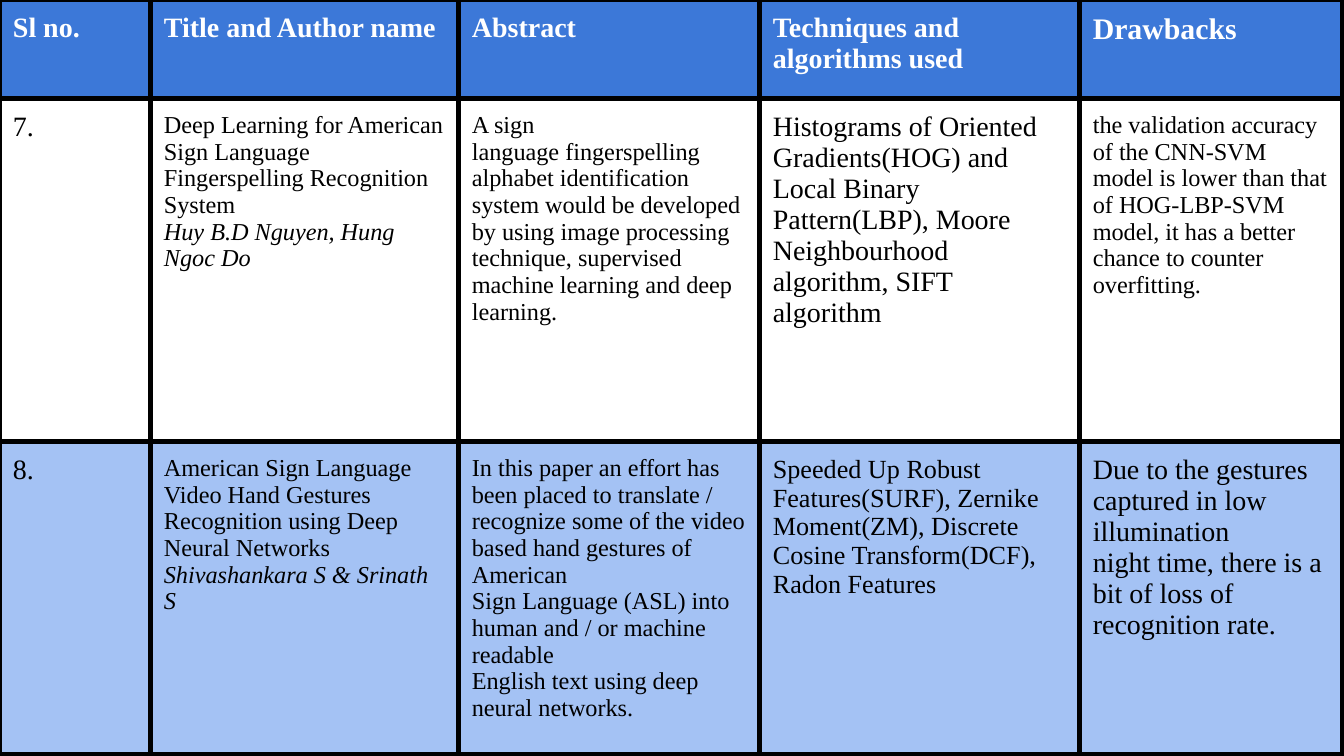
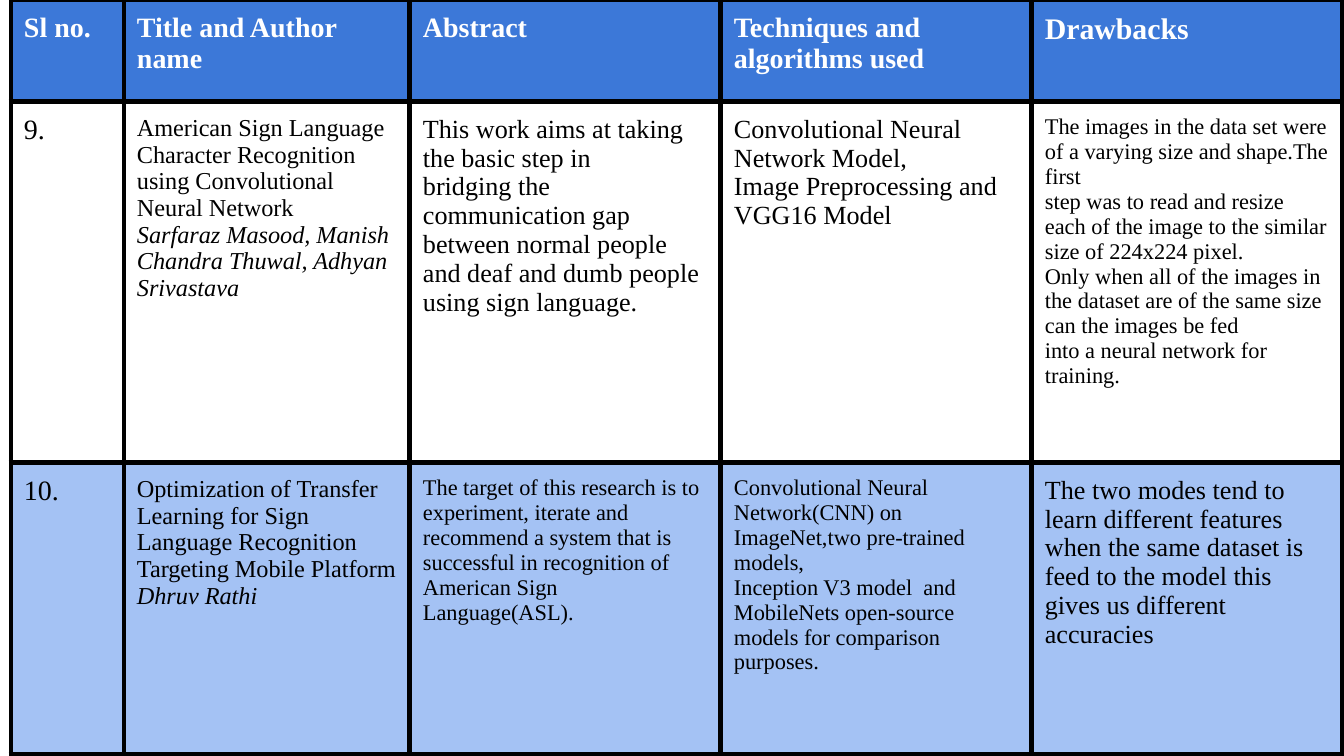
from dataclasses import dataclass

from lxml import etree
from pptx import Presentation
from pptx import util as u
from pptx.dml.color import RGBColor
from pptx.enum import text
from pptx.oxml import ns

EMU_PER_PX = 914400 / 134.4
PAGE_WIDTH, PAGE_HEIGHT = 1344, 756
FONT = "Times New Roman"
HEADER_BLUE = RGBColor(0x3C, 0x78, 0xD8)
ROW_BLUE = RGBColor(0xA4, 0xC2, 0xF4)
WHITE = RGBColor(0xFF, 0xFF, 0xFF)
BLACK = RGBColor(0x00, 0x00, 0x00)
BORDER_POINTS = 3
CELL_MARGIN = 13


@dataclass
class Entry:
    """Text of one table cell: its size, its lines and any italic authors."""
    size: int
    lines: list
    authors: str = ""


HEADINGS = [
    Entry(15, ["Sl no."]),
    Entry(15, ["Title and Author name"]),
    Entry(15, ["Abstract"]),
    Entry(15, ["Techniques and algorithms used"]),
    Entry(16, ["Drawbacks"]),
]

PAPERS_7_8 = [
    [
        Entry(15, ["7."]),
        Entry(13, ["Deep Learning for American Sign Language Fingerspelling "
                   "Recognition System"], "Huy B.D Nguyen, Hung Ngoc Do"),
        Entry(13, ["A sign",
                   "language fingerspelling alphabet identification system would be "
                   "developed by using image processing technique, supervised machine "
                   "learning and deep learning."]),
        Entry(15, ["Histograms of Oriented Gradients(HOG) and Local Binary "
                   "Pattern(LBP), Moore Neighbourhood algorithm, SIFT algorithm"]),
        Entry(13, ["the validation accuracy of the CNN-SVM model is lower than that of "
                   "HOG-LBP-SVM model, it has a better chance to counter overfitting."]),
    ],
    [
        Entry(15, ["8."]),
        Entry(13, ["American Sign Language Video Hand Gestures",
                   "Recognition using Deep Neural Networks"],
              "Shivashankara S & Srinath S"),
        Entry(13, ["In this paper an effort has been placed to translate /",
                   "recognize some of the video based hand gestures of American",
                   "Sign Language (ASL) into human and / or machine readable",
                   "English text using deep neural networks."]),
        Entry(14, ["Speeded Up Robust Features(SURF), Zernike Moment(ZM), Discrete "
                   "Cosine Transform(DCF), Radon Features"]),
        Entry(15, ["Due to the gestures captured in low illumination",
                   "night time, there is a bit of loss of recognition rate."]),
    ],
]

PAPERS_9_10 = [
    [
        Entry(15, ["9."]),
        Entry(13, ["American Sign Language Character Recognition using Convolutional "
                   "Neural Network"],
              "Sarfaraz Masood, Manish Chandra Thuwal, Adhyan Srivastava"),
        Entry(14, ["This work aims at taking the basic step in",
                   "bridging the communication gap between normal people and deaf and "
                   "dumb people using sign language."]),
        Entry(14, ["Convolutional Neural Network Model,",
                   "Image Preprocessing and",
                   "VGG16 Model"]),
        Entry(12, ["The images in the data set were of a varying size and shape.The first",
                   "step was to read and resize each of the image to the similar size of "
                   "224x224 pixel.",
                   "Only when all of the images in the dataset are of the same size can "
                   "the images be fed",
                   "into a neural network for training."]),
    ],
    [
        Entry(15, ["10."]),
        Entry(13, ["Optimization of Transfer Learning for Sign Language Recognition "
                   "Targeting Mobile Platform"], "Dhruv Rathi"),
        Entry(12, ["The target of this research is to experiment, iterate and recommend "
                   "a system that is successful in recognition of American Sign",
                   "Language(ASL)."]),
        Entry(12, ["Convolutional Neural Network(CNN) on ImageNet,two pre-trained models,",
                   "Inception V3 model  and MobileNets open-source",
                   "models for comparison purposes."]),
        Entry(14, ["The two modes tend to learn different features when the same dataset "
                   "is feed to the model this gives us different accuracies"]),
    ],
]


def px(length):
    """Turn pixels into EMU."""
    return u.Emu(round(length * EMU_PER_PX))


def add_borders(cell):
    """Draw a solid black line on the four sides of a cell."""
    properties = cell._tc.get_or_add_tcPr()
    for side in ("a:lnL", "a:lnR", "a:lnT", "a:lnB"):
        line = etree.SubElement(properties, ns.qn(side), w=str(u.Pt(BORDER_POINTS)))
        fill = etree.SubElement(line, ns.qn("a:solidFill"))
        etree.SubElement(fill, ns.qn("a:srgbClr"), val=str(BLACK))


def write_entry(cell, entry, color, bold):
    """Write the lines of an entry, then its authors in italics."""
    frame = cell.text_frame
    paragraphs = [(line, False) for line in entry.lines]
    if entry.authors:
        paragraphs.append((entry.authors, True))
    for index, (words, italic) in enumerate(paragraphs):
        para = frame.add_paragraph() if index else frame.paragraphs[0]
        para.alignment = text.PP_ALIGN.LEFT
        span = para.add_run()
        span.text = words
        span.font.name = FONT
        span.font.size = u.Pt(entry.size)
        span.font.bold = bold
        span.font.italic = italic
        span.font.color.rgb = color


def format_cell(cell, fill_color):
    """Give a cell its margins, borders and fill."""
    cell.margin_left = cell.margin_right = px(CELL_MARGIN)
    cell.margin_top = cell.margin_bottom = px(CELL_MARGIN)
    cell.vertical_anchor = text.MSO_ANCHOR.TOP
    add_borders(cell)
    if fill_color is None:
        cell.fill.background()
    else:
        cell.fill.solid()
        cell.fill.fore_color.rgb = fill_color


def add_survey_table(page, left, top, widths, heights, papers):
    """Add the table of papers under its heading row."""
    frame = page.shapes.add_table(len(heights), len(widths), px(left), px(top),
                                  px(sum(widths)), px(sum(heights)))
    table = frame.table
    table.first_row = table.horz_banding = False
    for column, width in zip(table.columns, widths):
        column.width = px(width)
    for row, height in zip(table.rows, heights):
        row.height = px(height)
    row_fills = [HEADER_BLUE, None, ROW_BLUE]
    for row_index, (entries, fill) in enumerate(zip([HEADINGS] + papers, row_fills)):
        is_header = row_index == 0
        for column_index, entry in enumerate(entries):
            cell = table.cell(row_index, column_index)
            format_cell(cell, fill)
            write_entry(cell, entry, WHITE if is_header else BLACK, is_header)


def add_survey_page(deck, left, widths, heights, papers):
    """Add a white page filled by one table of papers."""
    page = deck.slides.add_slide(deck.slide_layouts[6])
    page.background.fill.solid()
    page.background.fill.fore_color.rgb = WHITE
    add_survey_table(page, left, 0, widths, heights, papers)


def main():
    """Build and save the deck."""
    deck = Presentation()
    deck.slide_width, deck.slide_height = px(PAGE_WIDTH), px(PAGE_HEIGHT)
    add_survey_page(deck, 0, [151, 308, 301, 320, 263], [99, 343, 313], PAPERS_7_8)
    add_survey_page(deck, 11, [113, 286, 311, 311, 311], [102, 361, 292], PAPERS_9_10)
    deck.save("out.pptx")


if __name__ == "__main__":
    main()
